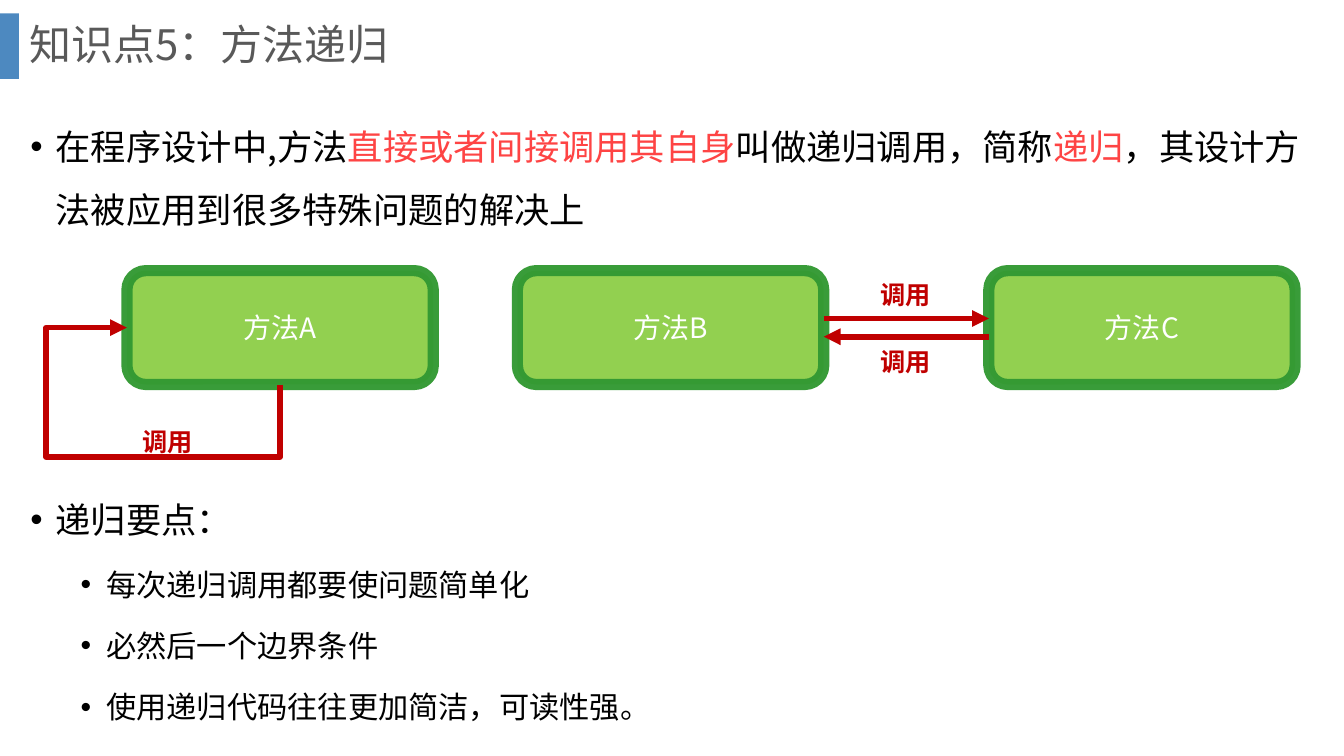
"""Build the slide on method recursion."""
from dataclasses import dataclass

from lxml import etree
from pptx import Presentation
from pptx.dml.color import RGBColor
from pptx.enum.shapes import MSO_CONNECTOR, MSO_SHAPE
from pptx.enum.text import MSO_ANCHOR, MSO_AUTO_SIZE, PP_ALIGN
from pptx.oxml.ns import qn
from pptx.util import Cm, Pt

STRAIGHT, ELBOW = MSO_CONNECTOR.STRAIGHT, MSO_CONNECTOR.ELBOW
RECTANGLE, ROUNDED = MSO_SHAPE.RECTANGLE, MSO_SHAPE.ROUNDED_RECTANGLE
TOP, MIDDLE = MSO_ANCHOR.TOP, MSO_ANCHOR.MIDDLE
LEFT, CENTER = PP_ALIGN.LEFT, PP_ALIGN.CENTER
NO_FIT = MSO_AUTO_SIZE.NONE
LEFT_SIDE, BOTTOM_SIDE = 1, 2


@dataclass(frozen=True)
class Theme:
    font: str = "Noto Sans CJK SC"
    title: str = "595959"
    text: str = "000000"
    accent: str = "FE4444"
    bar: str = "2E75B6"
    box: str = "92D050"
    border: str = "339933"
    arrow: str = "C00000"
    white: str = "FFFFFF"
    title_size: float = 30
    body_sizes: tuple = (25.2, 21.6)
    box_size: float = 20
    label_size: float = 18


THEME = Theme()
TITLE = "知识点5：方法递归"
BODY = [
    (0, 10, [("在程序设计中,方法", THEME.text),
             ("直接或者间接调用其自身", THEME.accent),
             ("叫做递归调用，简称", THEME.text),
             ("递归", THEME.accent),
             ("，其设计方法被应用到很多特殊问题的解决上", THEME.text)]),
    (0, 176, [("递归要点：", THEME.text)]),
    (1, 5, [("每次递归调用都要使问题简单化", THEME.text)]),
    (1, 5, [("必然后一个边界条件", THEME.text)]),
    (1, 5, [("使用递归代码往往更加简洁，可读性强。", THEME.text)]),
]
BOXES = [("方法A", 3.2), ("方法B", 13.04), ("方法C", 24.92)]
BOX_TOP, BOX_WIDTH, BOX_HEIGHT = 6.82, 7.72, 2.87
CALL = "调用"
LABELS = [(3.33, 10.62), (21.94, 6.91), (21.94, 8.61)]
ARROW_OFFSET = 0.23
LOOP_LEFT, LOOP_BOTTOM = 1.16, 11.51


def place(shape, left, top, width, height):
    shape.left, shape.top = Cm(left), Cm(top)
    shape.width, shape.height = Cm(width), Cm(height)


def style(font, size, color=None, bold=False):
    font.name, font.size, font.bold = THEME.font, Pt(size), bold
    if color:
        font.color.rgb = RGBColor.from_string(color)
    east_asian = etree.Element(qn("a:ea"), typeface=THEME.font)
    font._element.find(qn("a:latin")).addnext(east_asian)


def set_alpha(element, percent):
    color = element.find(".//" + qn("a:srgbClr"))
    etree.SubElement(color, qn("a:alpha"), val=str(percent * 1000))


def add_block(slide, kind, color, *area):
    block = slide.shapes.add_shape(kind, *map(Cm, area))
    block.shadow.inherit = False
    block.fill.solid()
    block.fill.fore_color.rgb = RGBColor.from_string(color)
    return block


def add_method(slide, name, left):
    box = add_block(slide, ROUNDED, THEME.box, left, BOX_TOP, BOX_WIDTH, BOX_HEIGHT)
    box.line.color.rgb = RGBColor.from_string(THEME.border)
    box.line.width = Pt(8)
    set_alpha(box.line._get_or_add_ln(), 96)
    box.text_frame.vertical_anchor = MIDDLE
    para = box.text_frame.paragraphs[0]
    para.text, para.alignment = name, CENTER
    style(para.font, THEME.box_size, THEME.white)
    return box


def add_arrow(slide, kind, *ends):
    arrow = slide.shapes.add_connector(kind, *map(Cm, ends))
    arrow.line.color.rgb = RGBColor.from_string(THEME.arrow)
    arrow.line.width = Pt(4)
    etree.SubElement(arrow.line._get_or_add_ln(), qn("a:tailEnd"), type="triangle")
    etree.SubElement(arrow._element.spPr, qn("a:effectLst"))
    return arrow


def add_loop(slide, box, left):
    start_x, start_y = left + BOX_WIDTH / 2, BOX_TOP + BOX_HEIGHT
    end_x, end_y = left, BOX_TOP + BOX_HEIGHT / 2
    loop = add_arrow(slide, ELBOW, start_x, start_y, end_x, end_y)
    loop.begin_connect(box, BOTTOM_SIDE)
    loop.end_connect(box, LEFT_SIDE)
    across, rise = start_x - end_x, start_y - end_y
    place(loop, (start_x + end_x - rise) / 2, (start_y + end_y - across) / 2, rise, across)
    frame = loop._element.spPr.find(qn("a:xfrm"))
    frame.attrib.pop("flipV", None)
    frame.set("rot", "5400000")
    frame.set("flipH", "1")
    geometry = loop._element.spPr.find(qn("a:prstGeom"))
    geometry.set("prst", "bentConnector4")
    bends = ((start_y - LOOP_BOTTOM) / rise, (start_x - LOOP_LEFT) / across)
    for number, bend in enumerate(bends, 1):
        etree.SubElement(geometry.find(qn("a:avLst")), qn("a:gd"),
                         name=f"adj{number}", fmla=f"val {round(bend * 100000)}")


def add_label(slide, left, top):
    label = slide.shapes.add_textbox(Cm(left), Cm(top), Cm(1.8), Cm(1.02))
    label.text_frame.word_wrap = False
    para = label.text_frame.paragraphs[0]
    para.text = CALL
    style(para.font, THEME.label_size, THEME.arrow, True)


def fill_title(title):
    place(title, 0.48, 0, 32.16, 2.36)
    title.text_frame.vertical_anchor = MIDDLE
    title.text_frame.auto_size = NO_FIT
    para = title.text_frame.paragraphs[0]
    para.text, para.alignment, para.line_spacing = TITLE, LEFT, 0.9
    style(para.font, THEME.title_size, THEME.title)


def fill_body(body):
    place(body, 0.51, 2.49, 32.77, 15.95)
    frame = body.text_frame
    frame.vertical_anchor, frame.auto_size = TOP, NO_FIT
    for index, (level, before, spans) in enumerate(BODY):
        para = frame.add_paragraph() if index else frame.paragraphs[0]
        para.level, para.alignment = level, LEFT
        para.line_spacing, para.space_before = 1.5, Pt(before)
        props = para._p.get_or_add_pPr()
        props.set("marL", str(Cm(0.64 + 1.27 * level)))
        props.set("indent", str(-Cm(0.64)))
        etree.SubElement(props, qn("a:buFont"), typeface="Arial")
        etree.SubElement(props, qn("a:buChar"), char="•")
        style(para.font, THEME.body_sizes[level])
        for text, color in spans:
            span = para.add_run()
            span.text = text
            span.font.color.rgb = RGBColor.from_string(color)


def main():
    deck = Presentation()
    deck.slide_width, deck.slide_height = Cm(33.87), Cm(19.05)
    slide = deck.slides.add_slide(deck.slide_layouts[1])
    fill_title(slide.shapes.title)
    fill_body(slide.placeholders[1])
    bar = add_block(slide, RECTANGLE, THEME.bar, 0, 0.34, 0.48, 1.65)
    set_alpha(bar._element.spPr, 85)
    bar.line.fill.background()
    boxes = [add_method(slide, name, left) for name, left in BOXES]
    add_loop(slide, boxes[0], BOXES[0][1])
    gap_left, gap_right = BOXES[1][1] + BOX_WIDTH, BOXES[2][1]
    middle = BOX_TOP + BOX_HEIGHT / 2
    for start, end, offset in ((gap_left, gap_right, -ARROW_OFFSET),
                               (gap_right, gap_left, ARROW_OFFSET)):
        add_arrow(slide, STRAIGHT, start, middle + offset, end, middle + offset)
    for left, top in LABELS:
        add_label(slide, left, top)
    deck.save("out.pptx")


if __name__ == "__main__":
    main()
